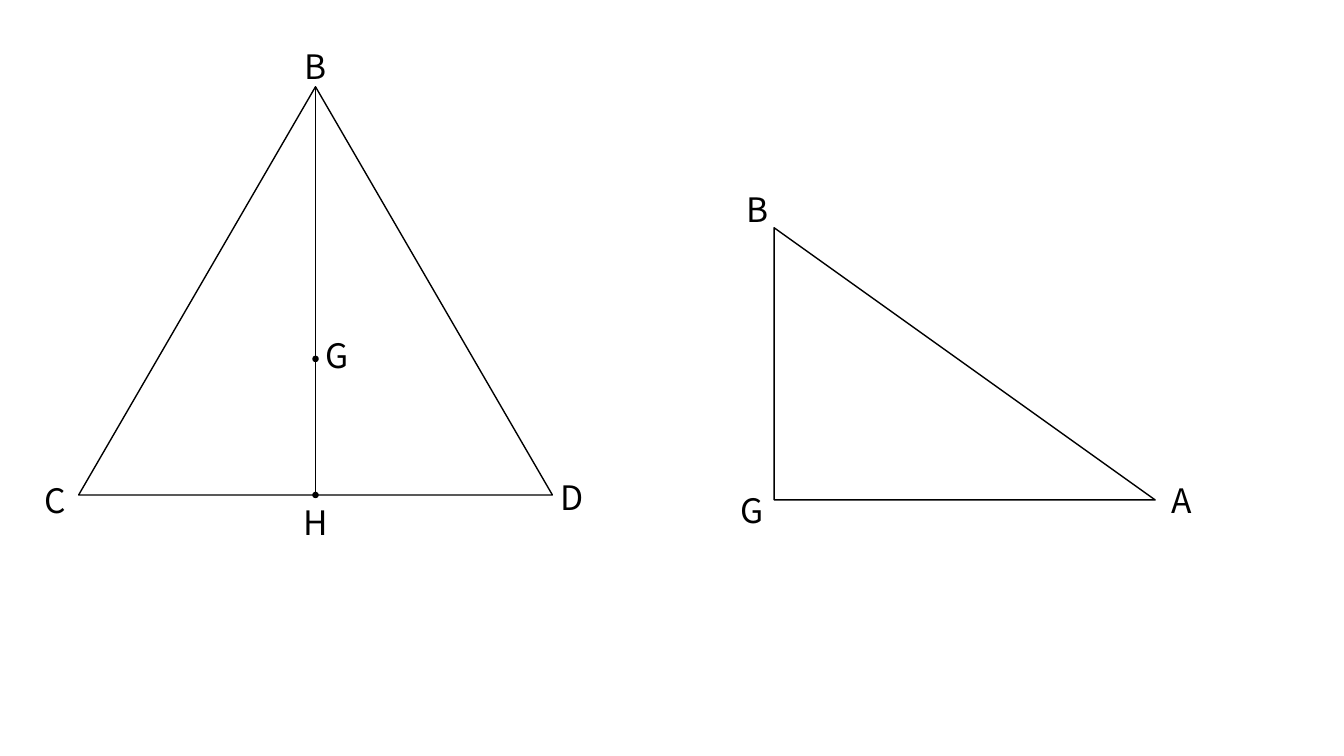
import pptx
import pptx.util
import pptx.dml.color
import pptx.enum.shapes
import pptx.enum.text
import lxml.etree

KIND = pptx.enum.shapes.MSO_SHAPE
INK = "000000"
PAPER = "FFFFFF"


def color(code):
    return pptx.dml.color.RGBColor.from_string(code)


class Board:
    """Style and current slide, on a grid of 100 columns by 100 rows."""

    font = "Noto Sans CJK JP"
    size = 24
    line = 1

    def __init__(self, deck):
        self.col = deck.slide_width / 100
        self.row = deck.slide_height / 100
        self.slide = deck.slides.add_slide(deck.slide_layouts[6])

    def place(self, x, y):
        return round(x * self.col), round(y * self.row)

    def pen(self, item):
        item.line.color.rgb = color(INK)
        item.line.width = pptx.util.Pt(self.line)

    def shape(self, kind, left, top, wide, high, fill):
        item = self.slide.shapes.add_shape(
            kind, *self.place(left, top), *self.place(wide, high))
        item.shadow.inherit = False
        item.fill.solid()
        item.fill.fore_color.rgb = color(fill)
        self.pen(item)

    def dot(self, x, y):
        wide = pptx.util.Inches(0.05) / self.col
        high = pptx.util.Inches(0.05) / self.row
        self.shape(KIND.OVAL, x - wide / 2, y - high / 2, wide, high, INK)

    def link(self, start, end):
        item = self.slide.shapes.add_connector(
            pptx.enum.shapes.MSO_CONNECTOR.STRAIGHT,
            *self.place(*start), *self.place(*end))
        self.pen(item)
        props = item._element.spPr
        lxml.etree.SubElement(props, pptx.oxml.ns.qn("a:effectLst"))

    def label(self, text, left, top):
        box = self.slide.shapes.add_textbox(
            *self.place(left, top), *self.place(2.78, 6.67))
        frame = box.text_frame
        frame.word_wrap = True
        frame.auto_size = pptx.enum.text.MSO_AUTO_SIZE.SHAPE_TO_FIT_TEXT
        frame.text = text
        font = frame.paragraphs[0].runs[0].font
        font.name = self.font
        font.size = pptx.util.Pt(self.size)
        font.color.rgb = color(INK)


def main():
    deck = pptx.Presentation()
    deck.slide_width = pptx.util.Inches(13.33)
    deck.slide_height = pptx.util.Inches(7.5)
    board = Board(deck)

    # Base triangle BCD with its median BH
    left, top, wide, high = 5.85, 11.47, 35.25, 54
    mid, foot = left + wide / 2, top + high
    reach = high * 2 / 3  # the centroid G splits the median 2:1
    board.shape(KIND.ISOSCELES_TRIANGLE, left, top, wide, high, PAPER)
    board.link((mid, top), (mid, foot))
    for y in (top + reach, foot):
        board.dot(mid, y)

    # Right triangle ABG, sharing the length BG
    board.shape(KIND.RIGHT_TRIANGLE, 57.6, 30.13, 28.35, reach, PAPER)

    # Point names
    names = [
        ("B", 21.9, 5.47), ("G", 23.48, 43.6), ("D", 40.95, 62.4),
        ("C", 2.55, 62.8), ("H", 21.83, 65.73),
        ("B", 54.83, 24.27), ("G", 54.38, 64.13), ("A", 86.4, 62.8),
    ]
    for name in names:
        board.label(*name)

    deck.save("out.pptx")


if __name__ == "__main__":
    main()
